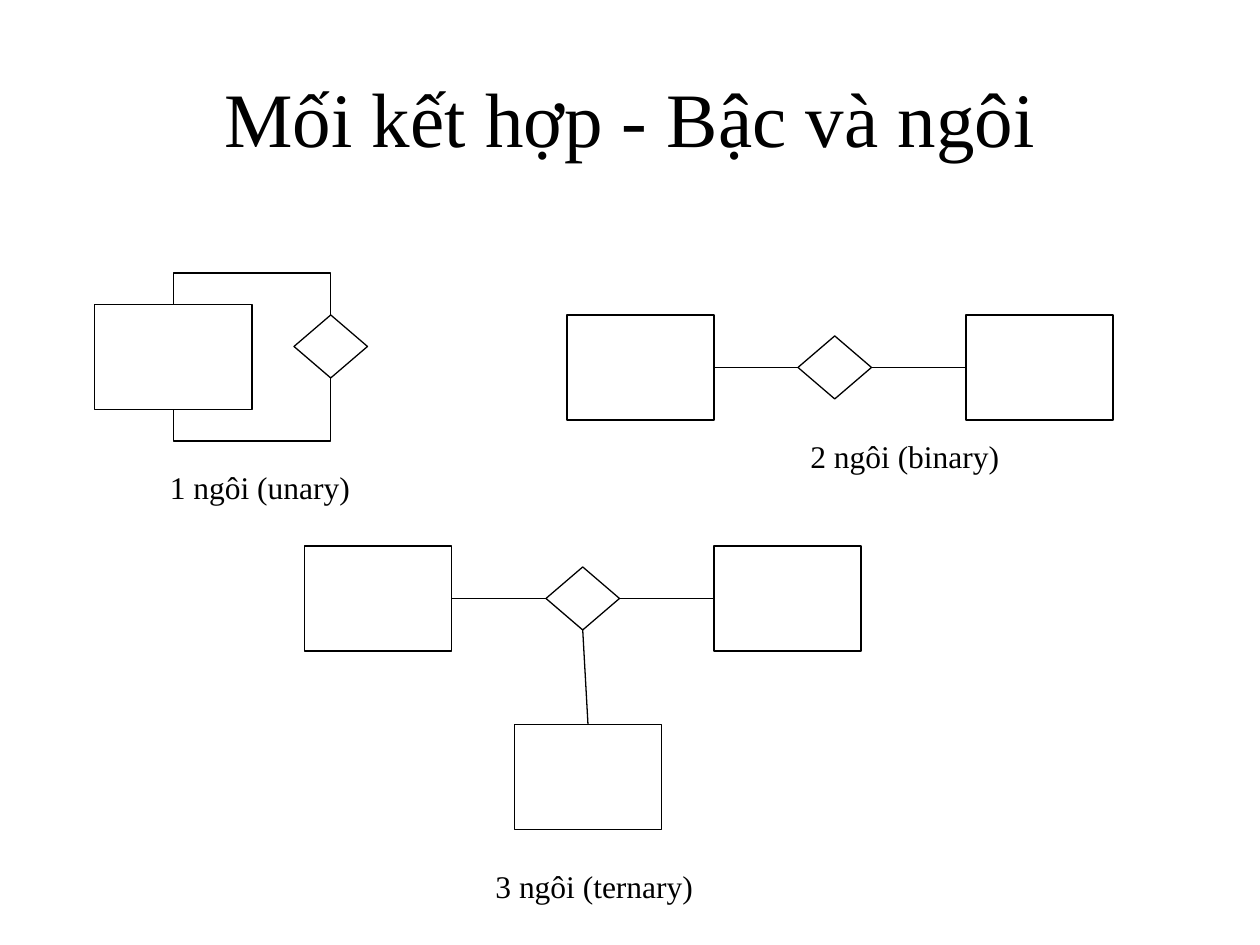
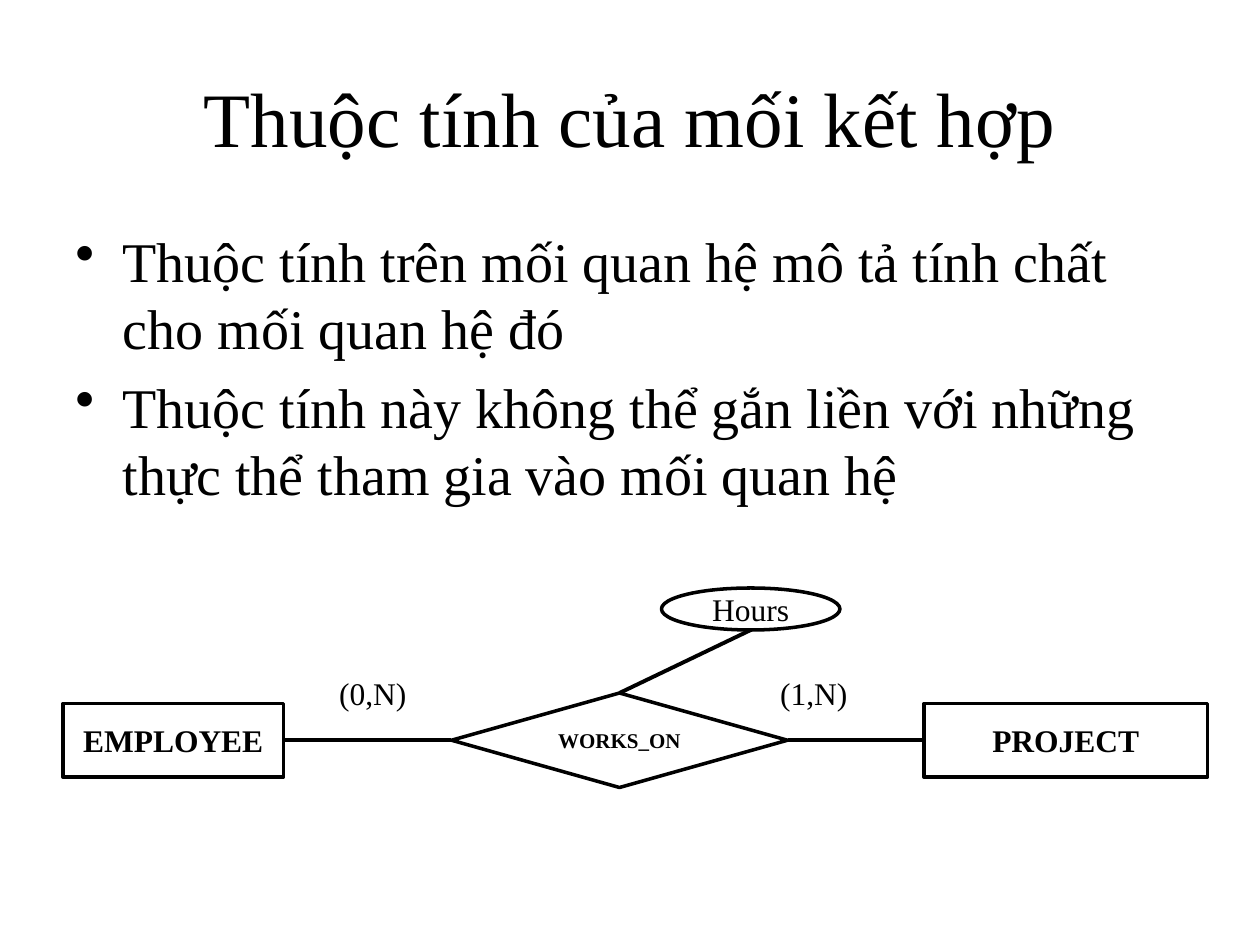
from dataclasses import dataclass

import pptx
import pptx.dml.color
import pptx.enum.shapes
import pptx.enum.text
import pptx.oxml
import pptx.oxml.ns
import pptx.util

Pt = pptx.util.Pt
Shape = pptx.enum.shapes.MSO_SHAPE
Line = pptx.enum.shapes.MSO_CONNECTOR
Align = pptx.enum.text.PP_ALIGN
Anchor = pptx.enum.text.MSO_ANCHOR
TOP, LEFT, BOTTOM, RIGHT = range(4)


@dataclass(frozen=True)
class Theme:
    ink: str = "000000"
    paper: str = "FFFFFF"
    font: str = "Times New Roman"
    title: int = 44
    body: int = 32
    label: int = 18
    small: int = 12
    thin: float = 0.75
    outline: float = 2
    link: float = 2.25


THEME = Theme()
SLIDE_SIZE = (720, 540)
TITLE_BOX = (36, 21.6, 648, 90)
BULLET_BOX = (36, 126, 648, 356)
BULLET_INDENT = 27
BULLET_GAP = 6.4

# Degree slide: positions are left, top; sizes are shared by all diagrams
ENTITY_SIZE = (84, 60)
UNARY_ENTITY_SIZE = (90, 60)
RELATION_SIZE = (42, 36)
LOOP_HEIGHTS = (156, 252)
DEGREE_TITLE = "Mối kết hợp - Bậc và ngôi"
UNARY = {"entity": (54, 174), "relation": (168, 180)}
# Each entity: position, relation side, entity side
LINKED_DIAGRAMS = [
    {"relation": (456, 192),
     "entities": [((324, 180), LEFT, RIGHT), ((552, 180), RIGHT, LEFT)]},
    {"relation": (312, 324),
     "entities": [((174, 312), LEFT, RIGHT), ((408, 312), RIGHT, LEFT),
                  ((294, 414), BOTTOM, TOP)]},
]
CAPTIONS = [
    ("1 ngôi (unary)", (90, 264, 119, 29)),
    ("2 ngôi (binary)", (456, 246, 124, 29)),
    ("3 ngôi (ternary)", (276, 492, 129, 29)),
]

# Attribute slide
ATTRIBUTE_TITLE = "Thuộc tính của mối kết hợp"
BULLETS = [
    "Thuộc tính trên mối quan hệ mô tả tính chất cho mối quan hệ đó",
    "Thuộc tính này không thể gắn liền với những thực thể tham gia vào mối quan hệ",
]
EMPLOYEE = ("EMPLOYEE", (36, 402, 126, 42))
PROJECT = ("PROJECT", (528, 402, 162, 42))
WORKS_ON = ("WORKS_ON", (258, 396, 192, 54))
HOURS = ("Hours", (378, 336, 102, 24))
CARDINALITIES = [("(0,N)", (186, 384, 54, 24)), ("(1,N)", (438, 384, 54, 24))]


def points(values):
    return [Pt(value) for value in values]


def rgb(color):
    return pptx.dml.color.RGBColor.from_string(color)


def write(shape, *lines, size=THEME.label, bold=False, align=Align.LEFT,
          anchor=Anchor.TOP, wrap=False, bullet=None):
    frame = shape.text_frame
    frame.word_wrap = wrap
    frame.vertical_anchor = anchor
    for index, line in enumerate(lines):
        paragraph = frame.add_paragraph() if index else frame.paragraphs[0]
        paragraph.alignment = align
        if bullet:
            if index:
                paragraph.space_before = Pt(BULLET_GAP)
            properties = paragraph._p.get_or_add_pPr()
            properties.set("marL", str(Pt(BULLET_INDENT)))
            properties.set("indent", str(-Pt(BULLET_INDENT)))
            mark = pptx.oxml.parse_xml(
                f'<a:buChar {pptx.oxml.ns.nsdecls("a")} char="{bullet}"/>')
            properties.append(mark)
        run = paragraph.add_run()
        run.text = line
        run.font.name = THEME.font
        run.font.size = Pt(size)
        run.font.bold = bold
        run.font.color.rgb = rgb(THEME.ink)


def add_text(slide, box, *lines, **text_format):
    write(slide.shapes.add_textbox(*points(box)), *lines, **text_format)


def add_node(slide, kind, box, text=None, *, line=THEME.ink,
             width=THEME.outline, filled=True, **text_format):
    node = slide.shapes.add_shape(kind, *points(box))
    node.shadow.inherit = False
    if filled:
        node.fill.solid()
        node.fill.fore_color.rgb = rgb(THEME.paper)
    else:
        node.fill.background()
    node.line.color.rgb = rgb(line)
    node.line.width = Pt(width)
    if text:
        write(node, text, align=Align.CENTER, anchor=Anchor.MIDDLE, **text_format)
    return node


def add_line(slide, start, end, width, kind=Line.STRAIGHT):
    line = slide.shapes.add_connector(kind, *points((*start, *end)))
    line.line.color.rgb = rgb(THEME.ink)
    line.line.width = Pt(width)
    line._element.spPr.append(
        pptx.oxml.parse_xml(f'<a:effectLst {pptx.oxml.ns.nsdecls("a")}/>'))
    return line


def join(slide, source, source_side, target, target_side, width):
    line = add_line(slide, (0, 0), (0, 0), width)
    line.begin_connect(source, source_side)
    line.end_connect(target, target_side)


def add_loop(slide, start, end, outer_y):
    """Elbow leaving start vertically, running along outer_y and back to end."""
    (x1, y1), (x2, y2) = start, end
    center_x, center_y = (x1 + x2) / 2, (y1 + y2) / 2
    upward = outer_y < y1
    turn = 1 if upward else -1
    dx, dy = -turn * (y1 - center_y), turn * (x1 - center_x)
    loop = add_line(slide, (center_x + dx, center_y + dy),
                    (center_x - dx, center_y - dy), THEME.thin, Line.ELBOW)
    properties = loop._element.spPr
    properties.xfrm.set("rot", str((270 if upward else 90) * 60000))
    bend = round(-100000 * abs(outer_y - y1) / abs(y2 - y1))
    guides = properties.find(".//" + pptx.oxml.ns.qn("a:avLst"))
    guides.append(pptx.oxml.parse_xml(
        f'<a:gd {pptx.oxml.ns.nsdecls("a")} name="adj1" fmla="val {bend}"/>'))


def add_titled_slide(deck, title):
    slide = deck.slides.add_slide(deck.slide_layouts[6])
    add_text(slide, TITLE_BOX, title, size=THEME.title, align=Align.CENTER,
             anchor=Anchor.MIDDLE, wrap=True)
    return slide


def build_degree_slide(deck):
    slide = add_titled_slide(deck, DEGREE_TITLE)
    plain = {"width": THEME.thin, "filled": False}

    left, top = UNARY["entity"]
    relation_left, relation_top = UNARY["relation"]
    width, height = UNARY_ENTITY_SIZE
    relation_width, relation_height = RELATION_SIZE
    add_node(slide, Shape.RECTANGLE, (left, top, width, height), **plain)
    add_node(slide, Shape.DIAMOND, UNARY["relation"] + RELATION_SIZE, **plain)
    entity_x = left + width / 2
    relation_x = relation_left + relation_width / 2
    for outer_y, drop, relation_drop in zip(
            LOOP_HEIGHTS, (0, height), (0, relation_height)):
        add_loop(slide, (entity_x, top + drop),
                 (relation_x, relation_top + relation_drop), outer_y)

    for diagram in LINKED_DIAGRAMS:
        relation = add_node(slide, Shape.DIAMOND,
                            diagram["relation"] + RELATION_SIZE, **plain)
        for position, relation_side, entity_side in diagram["entities"]:
            entity = add_node(slide, Shape.RECTANGLE, position + ENTITY_SIZE, **plain)
            join(slide, relation, relation_side, entity, entity_side, THEME.thin)

    for caption, box in CAPTIONS:
        add_text(slide, box, caption)


def build_attribute_slide(deck):
    slide = add_titled_slide(deck, ATTRIBUTE_TITLE)
    add_text(slide, BULLET_BOX, *BULLETS, size=THEME.body, wrap=True, bullet="•")

    employee, project = [
        add_node(slide, Shape.RECTANGLE, box, name, bold=True)
        for name, box in (EMPLOYEE, PROJECT)]
    name, box = WORKS_ON
    works_on = add_node(slide, Shape.DIAMOND, box, name, bold=True, size=THEME.small)
    join(slide, employee, RIGHT, works_on, LEFT, THEME.link)
    join(slide, works_on, RIGHT, project, LEFT, THEME.link)
    for cardinality, box in CARDINALITIES:
        add_node(slide, Shape.RECTANGLE, box, cardinality, line=THEME.paper)

    name, box = HOURS
    add_node(slide, Shape.OVAL, box, name)
    left, top, width, height = box
    hours_bottom = (left + width / 2, top + height)
    hours_link = add_line(slide, hours_bottom, hours_bottom, THEME.link)
    hours_link.end_connect(works_on, TOP)


def main():
    deck = pptx.Presentation()
    deck.slide_width, deck.slide_height = points(SLIDE_SIZE)
    build_degree_slide(deck)
    build_attribute_slide(deck)
    deck.save("out.pptx")


if __name__ == "__main__":
    main()
